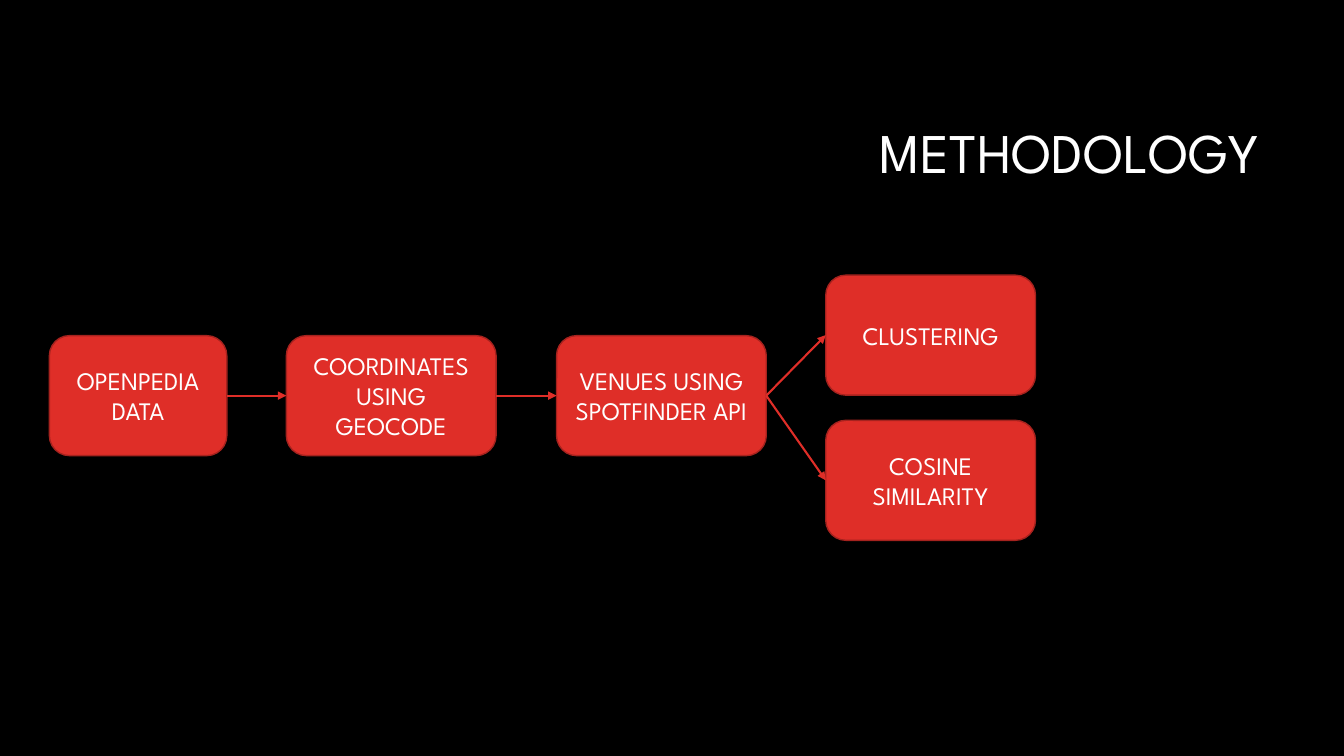
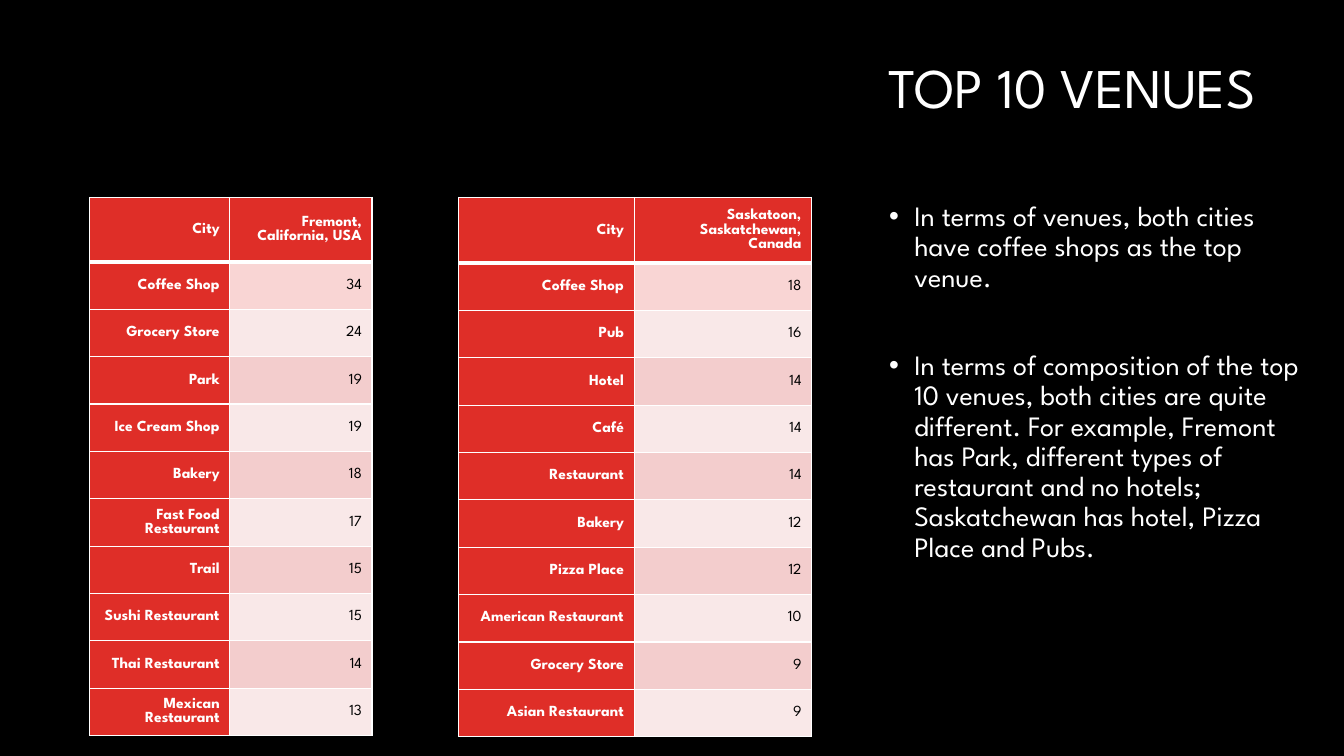
import pptx
import pptx.util
import pptx.dml.color
import pptx.enum.shapes
import pptx.enum.text
import pptx.oxml
import pptx.oxml.ns
import lxml.etree

Inches = pptx.util.Inches
Pt = pptx.util.Pt
RGBColor = pptx.dml.color.RGBColor
ALIGN = pptx.enum.text.PP_ALIGN
MIDDLE = pptx.enum.text.MSO_ANCHOR.MIDDLE
qn = pptx.oxml.ns.qn

BLACK = RGBColor(0x00, 0x00, 0x00)
WHITE = RGBColor(0xFF, 0xFF, 0xFF)
RED = RGBColor(0xDF, 0x2E, 0x28)
DARK_RED = RGBColor(0xA5, 0x22, 0x1E)
FIRST_ROW = RGBColor(0xF9, 0xD5, 0xD4)
BANDS = [RGBColor(0xF3, 0xCD, 0xCD), RGBColor(0xF9, 0xE8, 0xE8)]
FONT = "League Spartan"


def write(para, text, color, font_values, para_values):
    """Put one formatted span into a paragraph."""
    span = para.add_run()
    span.text = text
    span.font.color.rgb = color
    for name, value in {"name": FONT, **font_values}.items():
        setattr(span.font, name, value)
    for name, value in para_values.items():
        setattr(para, name, value)


def add_border(cell, side, points):
    """Draw one white edge of a table cell; side is L, R, T or B."""
    edge = lxml.etree.SubElement(cell._tc.get_or_add_tcPr(), qn("a:ln" + side),
                                 w=str(Pt(points)))
    fill = lxml.etree.SubElement(edge, qn("a:solidFill"))
    lxml.etree.SubElement(fill, qn("a:srgbClr"), val=str(WHITE))


deck = pptx.Presentation()
deck.slide_width = Inches(13.33)
deck.slide_height = Inches(7.5)

# Shared background and titles
pages = []
for title, left, top in [("METHODOLOGY", 3.17, 0.84), ("TOP 10 VENUES", 3.13, 0.19)]:
    page = deck.slides.add_slide(deck.slide_layouts[6])
    page.background.fill.solid()
    page.background.fill.fore_color.rgb = BLACK
    box = page.shapes.add_textbox(Inches(left), Inches(top), Inches(9.42), Inches(1.41))
    box.text_frame.word_wrap = True
    box.text_frame.vertical_anchor = MIDDLE
    write(box.text_frame.paragraphs[0], title, WHITE, {"size": Pt(40)},
          {"alignment": ALIGN.RIGHT, "line_spacing": 0.9})
    pages.append(page)
method_page, venues_page = pages

# Flow boxes: text, left, top, width
steps = [
    ("OPENPEDIA DATA", 0.49, 3.33, 1.76),
    ("COORDINATES USING GEOCODE", 2.84, 3.33, 2.08),
    ("VENUES USING SPOTFINDER API", 5.52, 3.33, 2.08),
    ("CLUSTERING", 8.19, 2.73, 2.08),
    ("COSINE SIMILARITY", 8.19, 4.17, 2.08),
]
boxes = []
for text, left, top, width in steps:
    box = method_page.shapes.add_shape(
        pptx.enum.shapes.MSO_SHAPE.ROUNDED_RECTANGLE,
        Inches(left), Inches(top), Inches(width), Inches(1.19))
    box.shadow.inherit = False
    box.fill.solid()
    box.fill.fore_color.rgb = RED
    box.line.color.rgb = DARK_RED
    box.line.width = Pt(1)
    box.text_frame.word_wrap = True
    box.text_frame.vertical_anchor = MIDDLE
    write(box.text_frame.paragraphs[0], text, WHITE, {"size": Pt(18)},
          {"alignment": ALIGN.CENTER})
    boxes.append(box)

# Arrows from right side to left side
for start, end in [(0, 1), (1, 2), (2, 3), (2, 4)]:
    arrow = method_page.shapes.add_connector(
        pptx.enum.shapes.MSO_CONNECTOR.STRAIGHT, 0, 0, 0, 0)
    arrow.begin_connect(boxes[start], 3)
    arrow.end_connect(boxes[end], 1)
    arrow.line.color.rgb = RED
    arrow.line.width = Pt(1.5)
    lxml.etree.SubElement(arrow.line._get_or_add_ln(), qn("a:tailEnd"), type="triangle")
    lxml.etree.SubElement(arrow._element.spPr, qn("a:effectLst"))

# Findings; the second is set off by a blank line's height
findings = [
    ("In terms of venues, both cities have coffee shops as the top venue.", 10),
    ("In terms of composition of the top 10 venues, both cities are quite different. "
     "For example, Fremont has Park, different types of restaurant and no hotels; "
     "Saskatchewan has hotel, Pizza Place and Pubs.", 41.6),
]
box = venues_page.shapes.add_textbox(Inches(8.72), Inches(1.96), Inches(4.27), Inches(4.4))
frame = box.text_frame
frame.word_wrap = True
for index, (text, gap) in enumerate(findings):
    para = frame.add_paragraph() if index else frame.paragraphs[0]
    write(para, text, WHITE, {"size": Pt(20)},
          {"line_spacing": 0.9, "space_before": Pt(gap)})
    properties = para._p.get_or_add_pPr()
    properties.set("marL", str(Inches(0.25)))
    properties.set("indent", str(-Inches(0.25)))
    lxml.etree.SubElement(properties, qn("a:buFont"), typeface="Arial")
    lxml.etree.SubElement(properties, qn("a:buChar"), char="•")

# Venue tables: left, column widths, header height, rows
tables = [
    (0.89, [1.39, 1.41], 0.64, [
        ("City", "Fremont, California, USA"),
        ("Coffee Shop", 34), ("Grocery Store", 24), ("Park", 19),
        ("Ice Cream Shop", 19), ("Bakery", 18), ("Fast Food Restaurant", 17),
        ("Trail", 15), ("Sushi Restaurant", 15), ("Thai Restaurant", 14),
        ("Mexican Restaurant", 13)]),
    (4.55, [1.74, 1.76], 0.44, [
        ("City", "Saskatoon, Saskatchewan, Canada"),
        ("Coffee Shop", 18), ("Pub", 16), ("Hotel", 14), ("Café", 14),
        ("Restaurant", 14), ("Bakery", 12), ("Pizza Place", 12),
        ("American Restaurant", 10), ("Grocery Store", 9), ("Asian Restaurant", 9)]),
]
for left, widths, header_height, rows in tables:
    heights = [header_height] + [0.47] * (len(rows) - 1)
    table = venues_page.shapes.add_table(
        len(rows), len(widths), Inches(left), Inches(1.96),
        Inches(sum(widths)), Inches(sum(heights))).table
    for column, width in zip(table.columns, widths):
        column.width = Inches(width)
    for row_index, values in enumerate(rows):
        table.rows[row_index].height = Inches(heights[row_index])
        for column_index, value in enumerate(values):
            cell = table.cell(row_index, column_index)
            is_label = row_index == 0 or column_index == 0
            for side in "LRTB":
                under_header = (row_index, side) in [(0, "B"), (1, "T")]
                add_border(cell, side, 3 if under_header else 1)
            cell.fill.solid()
            if is_label:
                cell.fill.fore_color.rgb = RED
            elif row_index == 1:
                cell.fill.fore_color.rgb = FIRST_ROW
            else:
                cell.fill.fore_color.rgb = BANDS[(row_index + 1) % 2]
            cell.vertical_anchor = MIDDLE
            write(cell.text_frame.paragraphs[0], str(value),
                  WHITE if is_label else BLACK,
                  {"size": Pt(11), "bold": is_label}, {"alignment": ALIGN.RIGHT})

deck.save("out.pptx")
